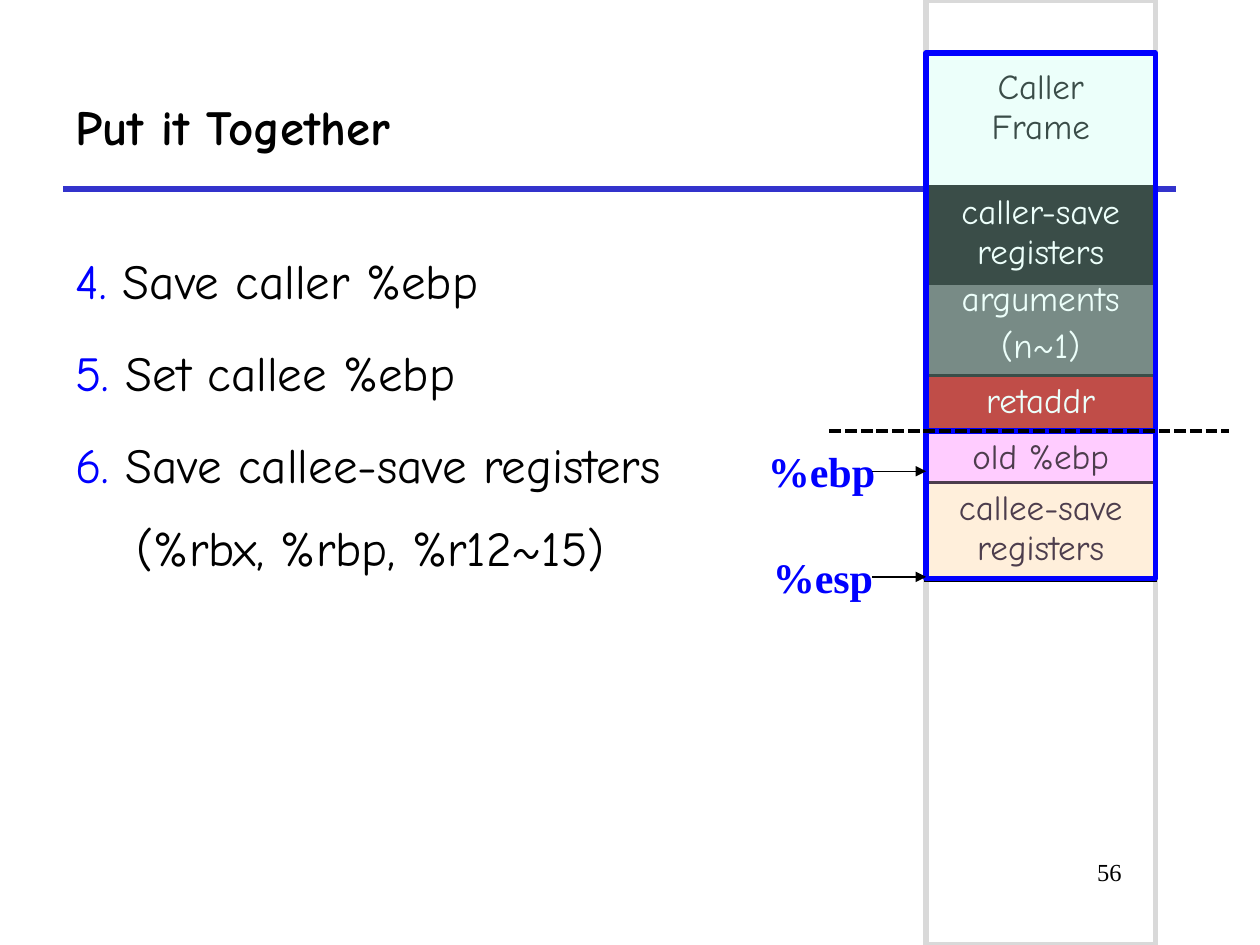
from lxml.etree import SubElement
from pptx import Presentation
from pptx.dml.color import RGBColor
from pptx.enum.dml import MSO_LINE
from pptx.enum.shapes import MSO_CONNECTOR, MSO_SHAPE
from pptx.enum.text import MSO_ANCHOR, PP_ALIGN
from pptx.oxml.ns import qn
from pptx.util import Cm, Pt

HAND_FONT = "Comic Neue"
SERIF_FONT = "Times New Roman"
BLACK, WHITE, BLUE = "000000", "FFFFFF", "0000FF"

STEPS = [
    ("4. ", ["Save caller %ebp"]),
    ("5. ", ["Set callee %ebp"]),
    ("6. ", ["Save callee-save registers", "(%rbx, %rbp, %r12~15)"]),
]


def color(hex_string):
    return RGBColor.from_string(hex_string)


def style(run, size, hex_color, font=HAND_FONT, bold=False):
    run.font.size = Pt(size)
    run.font.name = font
    run.font.bold = bold
    run.font.color.rgb = color(hex_color)


def add_line(slide, start, end, hex_color, width, dash=None, arrow=False):
    """Draw a straight line between two points given in centimetres."""
    line = slide.shapes.add_connector(
        MSO_CONNECTOR.STRAIGHT, *(Cm(v) for v in (*start, *end)))
    line.line.color.rgb = color(hex_color)
    line.line.width = Pt(width)
    if dash:
        line.line.dash_style = dash
    if arrow:
        SubElement(line.get_or_add_ln(), qn("a:tailEnd"), type="triangle")
    SubElement(line.element.spPr, qn("a:effectLst"))


def add_frame(slide, left, top, width, height, line_color, tint=None):
    """Outline a box, with an optional tint at 30% opacity."""
    frame = slide.shapes.add_shape(
        MSO_SHAPE.RECTANGLE, Cm(left), Cm(top), Cm(width), Cm(height))
    frame.shadow.inherit = False
    frame.line.color.rgb = color(line_color)
    frame.line.width = Pt(3)
    if tint:
        frame.fill.solid()
        frame.fill.fore_color.rgb = color(tint)
        tint_color = frame.element.spPr.find(qn("a:solidFill"))[0]
        SubElement(tint_color, qn("a:alpha"), val="30000")
    else:
        frame.fill.background()


def add_borders(cell):
    properties = cell._tc.get_or_add_tcPr()
    for side in ("lnL", "lnR", "lnT", "lnB"):
        border = SubElement(properties, qn(f"a:{side}"), w=str(Pt(2.25)))
        fill = SubElement(border, qn("a:solidFill"))
        SubElement(fill, qn("a:srgbClr"), val=BLACK)


def add_stack_entry(slide, left, top, width, height, text, fill, text_color,
                    top_margin=0.13):
    table = slide.shapes.add_table(
        1, 1, Cm(left), Cm(top), Cm(width), Cm(height)).table
    table.first_row = table.horz_banding = False
    cell = table.cell(0, 0)
    add_borders(cell)
    if fill:
        cell.fill.solid()
        cell.fill.fore_color.rgb = color(fill)
    else:
        cell.fill.background()
    cell.margin_top = Cm(top_margin)
    cell.text_frame.text = text
    for paragraph in cell.text_frame.paragraphs:
        paragraph.alignment = PP_ALIGN.CENTER
        paragraph.space_before = Pt(4)
        for run in paragraph.runs:
            style(run, 20, text_color)


def add_label(slide, left, top, width, height, text, size, hex_color,
              bold=False, align=PP_ALIGN.LEFT):
    label = slide.shapes.add_textbox(Cm(left), Cm(top), Cm(width), Cm(height))
    label.text_frame.word_wrap = True
    paragraph = label.text_frame.paragraphs[0]
    paragraph.text = text
    paragraph.alignment = align
    style(paragraph.runs[0], size, hex_color, SERIF_FONT, bold)


def add_title(slide, left, top, width, height):
    title = slide.shapes.title
    title.left, title.top = Cm(left), Cm(top)
    title.width, title.height = Cm(width), Cm(height)
    title.text_frame.text = "Put it Together"
    title.text_frame.vertical_anchor = MSO_ANCHOR.MIDDLE
    paragraph = title.text_frame.paragraphs[0]
    paragraph.alignment = PP_ALIGN.LEFT
    style(paragraph.runs[0], 28, BLACK, bold=True)
    rule = top + height
    add_line(slide, (left, rule), (left + width, rule), "3333CC", 3)


def add_steps(slide, left, top, width, height):
    body = slide.shapes.add_textbox(
        Cm(left), Cm(top), Cm(width), Cm(height)).text_frame
    body.word_wrap = True
    for index, (number, lines) in enumerate(STEPS):
        paragraph = body.add_paragraph() if index else body.paragraphs[0]
        paragraph.line_spacing = 1.4
        paragraph.space_before = Pt(5.6)
        number_run = paragraph.add_run()
        number_run.text = number
        style(number_run, 28, BLUE)
        for line_index, line in enumerate(lines):
            if line_index:
                paragraph.add_line_break()
            step_run = paragraph.add_run()
            step_run.text = line
            style(step_run, 28, BLACK)
        if len(lines) > 1:
            hanging = Cm(1.24)
            properties = paragraph._p.get_or_add_pPr()
            properties.set("marL", str(hanging))
            properties.set("indent", str(-hanging))


def add_stack(slide, left, top, width, caller_height, callee_height):
    """Stack the caller frame above the callee frame."""
    border = top + caller_height
    bottom = border + callee_height

    def entry(offset, height, *content, **options):
        add_stack_entry(slide, left, top + offset, width, height,
                        *content, **options)

    entry(4.44, 2.11, "arguments\n(n~1)", "595959", WHITE)
    entry(2.69, 1.96, "caller-save registers", BLACK, WHITE)
    entry(caller_height, 1.09, "old %ebp", "FFCCFF", BLACK)
    entry(6.5, 1.09, "retaddr", "C00000", WHITE)
    entry(0, caller_height, "Caller\vFrame", None, BLACK, top_margin=0.3)
    add_frame(slide, left, top, width, caller_height, BLUE, "C2FFF0")
    entry(8.66, 1.96, "callee-save registers", "FFFFCC", BLACK)
    add_frame(slide, left, border, width, callee_height, BLUE, "FFCCFF")

    add_line(slide, (left - 1.95, border), (left + width + 1.48, border),
             BLACK, 2.25, dash=MSO_LINE.SQUARE_DOT)
    for register, indent, pointer in (("%ebp", 3.44, border + 0.81),
                                      ("%esp", 3.34, bottom - 0.03)):
        add_label(slide, left - indent, pointer - 0.64, 3, 1.3,
                  register, 24, BLUE, bold=True)
        add_line(slide, (left - 1.09, pointer), (left, pointer),
                 BLACK, 0.75, arrow=True)


def main():
    presentation = Presentation()
    presentation.slide_width, presentation.slide_height = Cm(25.4), Cm(19.05)
    slide = presentation.slides.add_slide(presentation.slide_layouts[5])
    stack_left, stack_width = 18.67, 4.62
    add_title(slide, 1.27, 1.27, 22.43, 2.54)
    add_frame(slide, stack_left, 0, stack_width, 19.05, "D9D9D9")
    add_label(slide, 19.25, 17.15, 3.61, 1.27, "56", 14, BLACK,
              align=PP_ALIGN.RIGHT)
    add_steps(slide, 1.27, 4.45, 23.5, 12.27)
    add_stack(slide, stack_left, 1.07, stack_width, 7.62, 2.97)
    presentation.save("out.pptx")


if __name__ == "__main__":
    main()
